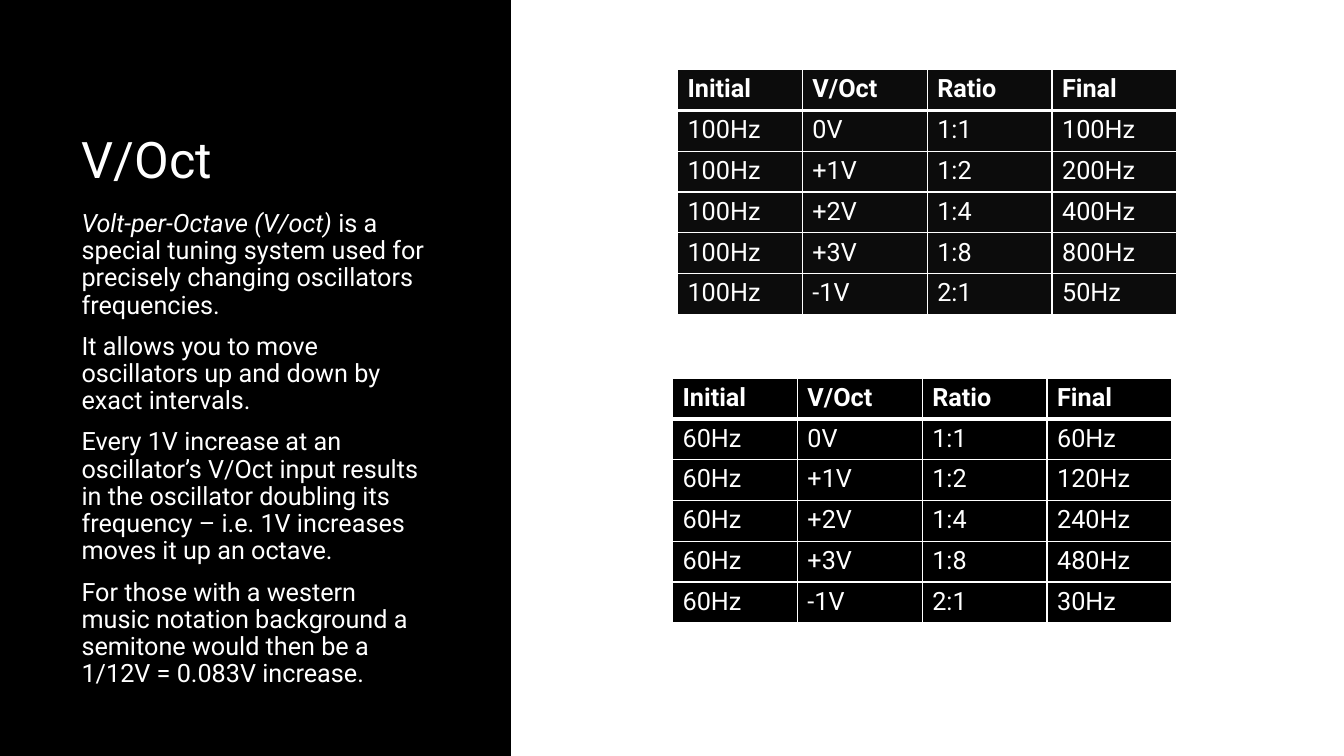
from lxml import etree
from pptx import Presentation
from pptx.dml.color import RGBColor
from pptx.enum.shapes import MSO_SHAPE
from pptx.enum.text import MSO_ANCHOR
from pptx.oxml.ns import qn
from pptx.util import Inches, Pt

RECT = MSO_SHAPE.RECTANGLE
TOP, MID = MSO_ANCHOR.TOP, MSO_ANCHOR.MIDDLE
HUES = {"black": "000000", "dark": "0C0C0C", "white": "FFFFFF"}
WIDE, HIGH = Inches(13.33), Inches(7.5)
HEAD = ["Initial", "V/Oct", "Ratio", "Final"]
STEPS = [0, 1, 2, 3, -1]
BODY = [
    [("Volt-per-Octave (V/oct) ", True),
     ("is a special tuning system used for precisely changing oscillators frequencies.", False)],
    [("It allows you to move oscillators up and down by exact intervals.", False)],
    [("Every 1V increase at an oscillator’s V/Oct input results in the oscillator doubling "
      "its frequency – i.e. 1V increases moves it up an octave.", False)],
    [("For those with a western music notation background a semitone would then be a "
      "1/12V = 0.083V increase.", False)],
]


def hue(name):
    return RGBColor.from_string(HUES[name])


def write(para, text, size=18, bold=False, ital=False, color="white"):
    run = para.add_run()
    run.text = text
    font = run.font
    font.name, font.size = "Roboto", Pt(size)
    font.bold, font.italic = bold, ital
    font.color.rgb = hue(color)


def tune(base):
    rows = [HEAD]
    for step in STEPS:
        volt = f"{step:+}V" if step else "0V"
        ratio = f"1:{2 ** step}" if step >= 0 else f"{2 ** -step}:1"
        rows.append([f"{base}Hz", volt, ratio, f"{base * 2 ** step:.0f}Hz"])
    return rows


class Deck:
    """Draws on one slide, with lengths in hundredths of its width and height."""

    def __init__(self):
        self.show = Presentation()
        self.show.slide_width, self.show.slide_height = WIDE, HIGH
        self.slide = self.show.slides.add_slide(self.show.slide_layouts[6])
        self.paint(self.slide.background.fill, "black")

    def paint(self, fill, color):
        fill.solid()
        fill.fore_color.rgb = hue(color)

    def grid(self, x, y, w, h):
        return [int(v * side / 100) for v, side in zip((x, y, w, h), (WIDE, HIGH) * 2)]

    def panel(self, box, color):
        shape = self.slide.shapes.add_shape(RECT, *self.grid(*box))
        shape.shadow.inherit = False
        self.paint(shape.fill, color)
        shape.line.fill.background()

    def text(self, box, paras, size=18, anchor=TOP):
        frame = self.slide.shapes.add_textbox(*self.grid(*box)).text_frame
        frame.word_wrap = True
        frame.vertical_anchor = anchor
        for num, runs in enumerate(paras):
            para = frame.add_paragraph() if num else frame.paragraphs[0]
            para.line_spacing = 0.9
            para.space_before = Pt(10 if num else 0)
            for words, ital in runs:
                write(para, words, size=size, ital=ital)

    def edge(self, cell, side, width):
        line = etree.SubElement(cell._tc.get_or_add_tcPr(), qn(f"a:ln{side}"), w=str(Pt(width)))
        fill = etree.SubElement(line, qn("a:solidFill"))
        etree.SubElement(fill, qn("a:srgbClr"), val=HUES["white"])

    def table(self, x, y, rows, color, wide=9.29, high=5.4):
        box = self.grid(x, y, wide * len(rows[0]), high * len(rows))
        table = self.slide.shapes.add_table(len(rows), len(rows[0]), *box).table
        table.horz_banding = False
        for r, row in enumerate(rows):
            for c, words in enumerate(row):
                cell = table.cell(r, c)
                for side in "LRTB":
                    rule = (r, side) in [(0, "B"), (1, "T")]
                    self.edge(cell, side, 3 if rule else 1)
                self.paint(cell.fill, color)
                write(cell.text_frame.paragraphs[0], words, bold=r == 0)


def main():
    deck = Deck()
    deck.text((5.33, 9.2, 30.08, 24.4), [[("V/Oct", False)]], size=36, anchor=MID)
    deck.panel((38.03, 0, 61.97, 100), "white")
    deck.text((5.33, 27.2, 27.46, 66.27), BODY)
    deck.table(50.41, 9.2, tune(100), "dark")
    deck.table(50.04, 50, tune(60), "black")
    deck.show.save("out.pptx")


if __name__ == "__main__":
    main()
